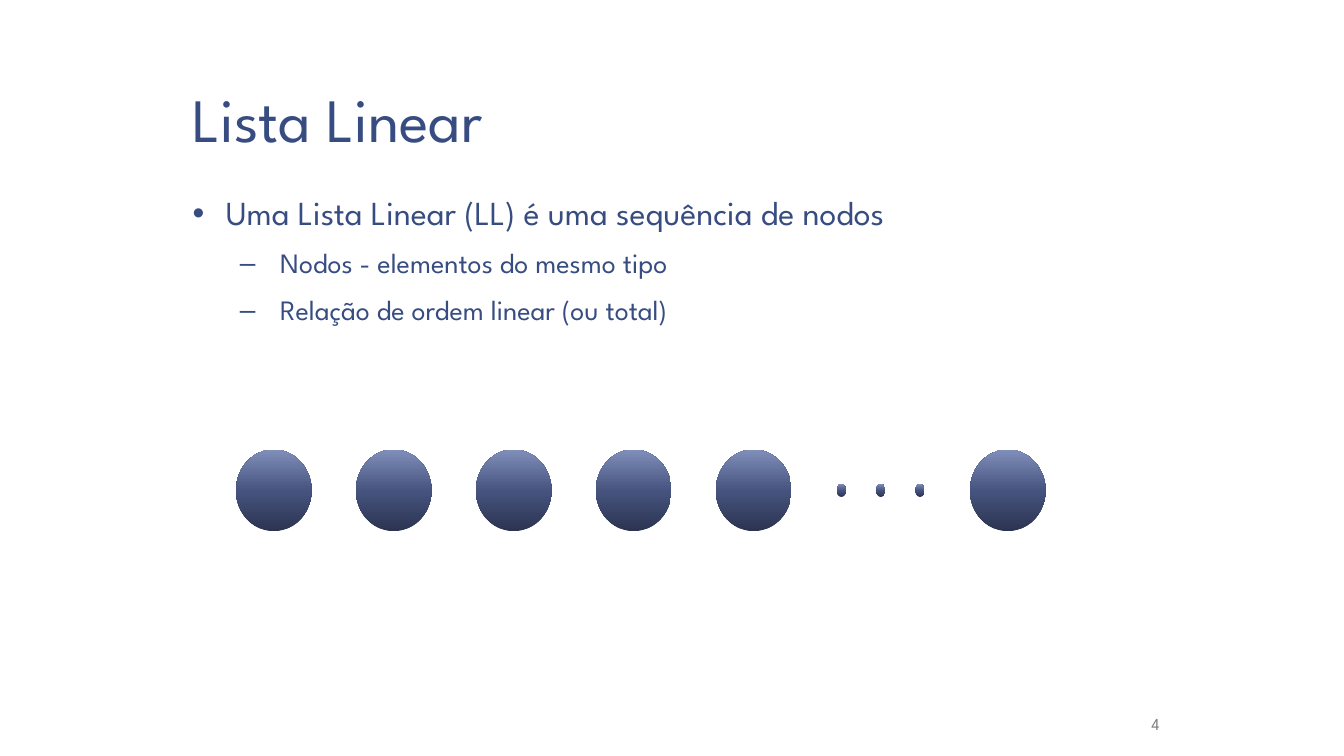
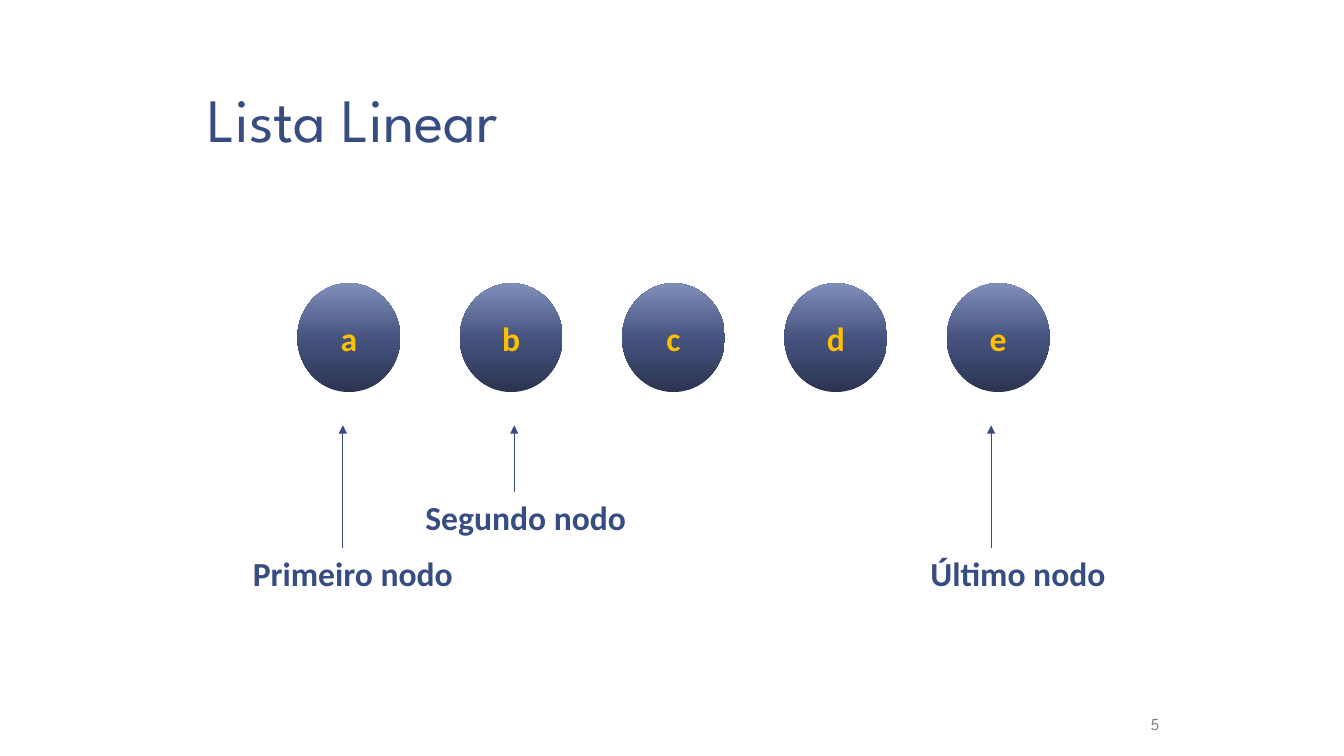
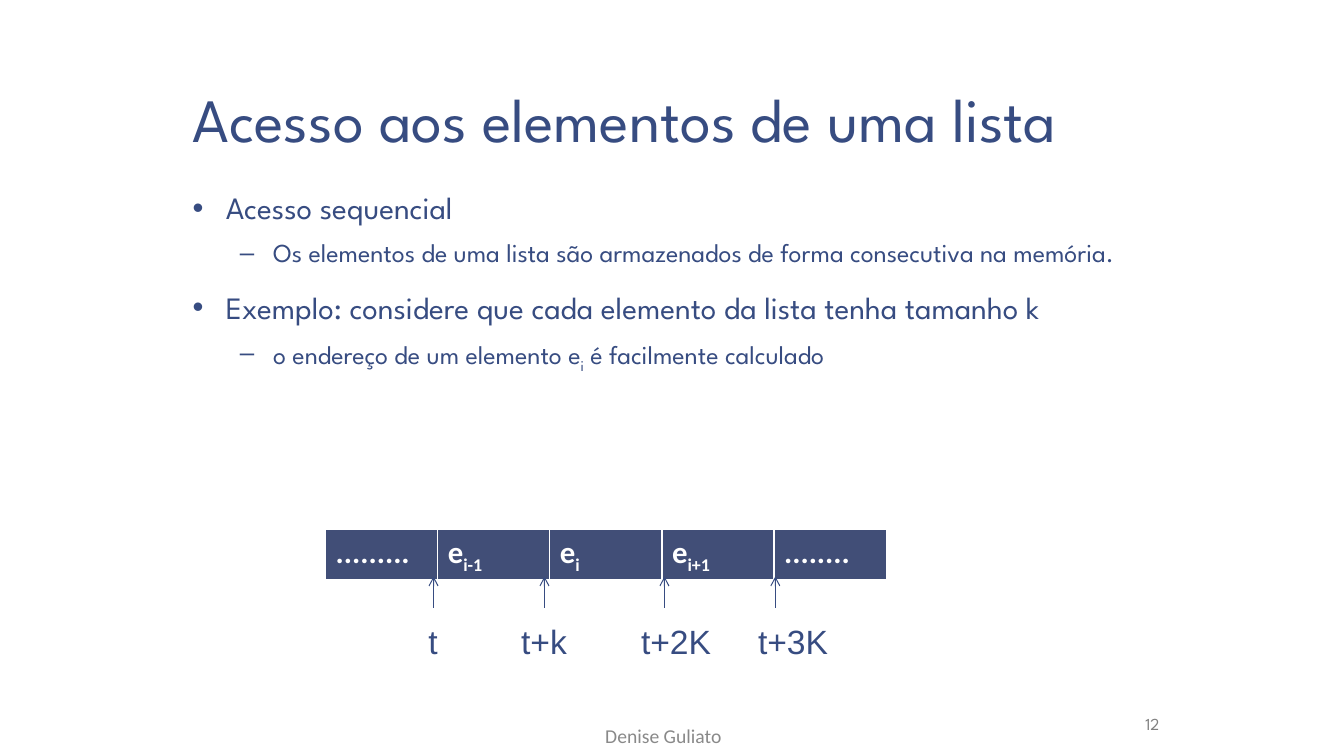
"""Builds three slides on linear lists."""
from copy import deepcopy
from dataclasses import dataclass

from pptx import Presentation
from pptx.dml import color as dml
from pptx.enum import shapes as kinds, text as txt
from pptx.oxml import ns
from pptx import util as u
from lxml import etree

Inches = u.Inches


@dataclass(frozen=True)
class TextStyle:
    """Font, size and colour of a piece of text."""
    font: str
    size: float
    color: str
    bold: bool = False


@dataclass(frozen=True)
class Theme:
    """Colours, type sizes and boxes shared by the slides."""
    ink: str = "374C81"
    white: str = "FFFFFF"
    cell: str = "414E77"
    gradient: tuple = ((0, "2C3450"), (0.48, "44527D"), (1, "808EBA"))
    heading: str = "League Spartan"
    title: TextStyle = TextStyle("League Spartan", 44, "374C81")
    number: TextStyle = TextStyle("League Spartan", 12, "808080")
    footer: TextStyle = TextStyle("Calibri", 14, "898989")
    node: TextStyle = TextStyle("Calibri", 24, "FFC000", True)
    label: TextStyle = TextStyle("Calibri", 24, "374C81", True)
    address: TextStyle = TextStyle("Arial", 24, "374C81")
    memory: TextStyle = TextStyle("Calibri", 22, "FFFFFF", True)
    margins: tuple = (0.13, 0.07)
    title_box: tuple = (1.78, 0.08, 9.84, 1.53)
    body_box: tuple = (1.78, 1.86, 9.84, 4.89)
    number_box: tuple = (10.76, 7, 0.87, 0.35)
    footer_box: tuple = (1.66, 7.1, 9.84, 0.4)


THEME = Theme()


def rgb(value):
    """Return a colour object for a hex string."""
    return dml.RGBColor.from_string(value)


def add_xml(parent, tag, **attributes):
    """Append a drawing element to a parent and return it."""
    return etree.SubElement(parent, ns.qn(tag), attributes)


def write(paragraph, parts, style):
    """Fill a paragraph with runs; every second part is a subscript."""
    for index, part in enumerate(parts):
        run = paragraph.add_run()
        run.text = part
        run.font.name, run.font.size = style.font, u.Pt(style.size)
        run.font.bold, run.font.color.rgb = style.bold, rgb(style.color)
        if index % 2:
            run.font._element.set("baseline", "-25000")


def add_text(slide, box, words, style, align=txt.PP_ALIGN.LEFT,
             anchor=txt.MSO_ANCHOR.TOP, margins=(0.1, 0.05), wrap=True):
    """Add a text box with at most one paragraph and return its frame."""
    frame = slide.shapes.add_textbox(*map(Inches, box)).text_frame
    frame.word_wrap, frame.vertical_anchor = wrap, anchor
    frame.margin_left = frame.margin_right = Inches(margins[0])
    frame.margin_top = frame.margin_bottom = Inches(margins[1])
    if words:
        write(frame.paragraphs[0], [words], style)
        frame.paragraphs[0].alignment = align
    return frame


def add_page(presentation, title, number, shift=0):
    """Add a blank slide with its title and number."""
    slide = presentation.slides.add_slide(presentation.slide_layouts[6])
    left, top, width, height = THEME.title_box
    frame = add_text(slide, (left + shift, top, width - shift, height), title, THEME.title,
                     anchor=txt.MSO_ANCHOR.BOTTOM, margins=THEME.margins)
    frame.paragraphs[0].line_spacing = 0.85
    add_text(slide, THEME.number_box, number, THEME.number, txt.PP_ALIGN.RIGHT,
             txt.MSO_ANCHOR.BOTTOM, THEME.margins)
    return slide


def add_bullets(slide, box, items, sizes, spacing, hang=0.33):
    """Add a two-level bulleted list of (level, parts) items."""
    frame = add_text(slide, box, "", None, margins=THEME.margins)
    for index, (level, parts) in enumerate(items):
        paragraph = frame.add_paragraph() if index else frame.paragraphs[0]
        write(paragraph, parts, TextStyle(THEME.heading, sizes[level], THEME.ink))
        paragraph.level, paragraph.line_spacing = level, spacing
        paragraph.space_before = u.Pt((18.7, 10.7)[level])
        indent = (0.33, hang)[level]
        properties = paragraph._p.get_or_add_pPr()
        properties.set("marL", str(Inches((0, 0.47)[level] + indent)))
        properties.set("indent", str(-Inches(indent)))
        add_xml(properties, "a:buFont", typeface="Arial")
        add_xml(properties, "a:buChar", char="•–"[level])


def add_node(shapes, box, letter=""):
    """Add a shaded ellipse with an optional letter."""
    node = shapes.add_shape(kinds.MSO_SHAPE.OVAL, *map(Inches, box))
    node.shadow.inherit = False
    node.line.fill.background()
    node.fill.gradient()
    node.fill.gradient_angle = 90
    stop_list = node._element.spPr.find(".//" + ns.qn("a:gsLst"))
    stop_list.append(deepcopy(stop_list[0]))
    for stop, (position, color) in zip(node.fill.gradient_stops, THEME.gradient):
        stop.position, stop.color.rgb = position, rgb(color)
    if letter:
        frame = node.text_frame
        frame.word_wrap, frame.vertical_anchor = False, txt.MSO_ANCHOR.MIDDLE
        write(frame.paragraphs[0], [letter], THEME.node)
        frame.paragraphs[0].alignment = txt.PP_ALIGN.CENTER


def add_arrow(slide, x, bottom, top, head):
    """Add a thin upward arrow."""
    arrow = slide.shapes.add_connector(kinds.MSO_CONNECTOR.STRAIGHT,
                                       *map(Inches, (x, bottom, x, top)))
    arrow.line.color.rgb, arrow.line.width = rgb(THEME.ink), u.Pt(0.75)
    add_xml(arrow.line._get_or_add_ln(), "a:tailEnd", type=head)
    add_xml(arrow._element.spPr, "a:effectLst")


def add_sequence(slide, left, top):
    """Add five nodes, three dots and a last node."""
    offsets = [1.19 * step for step in range(5)] + [7.28]
    for offset in offsets:
        add_node(slide.shapes, (left + offset, top, 0.75, 0.81))
    dots = slide.shapes.add_group_shape()
    for step in range(3):
        add_node(dots.shapes, (left + 5.96 + 0.39 * step, top + 0.34, 0.09, 0.13))


def add_named_nodes(slide, left, top):
    """Add lettered nodes and the arrows that name three of them."""
    for step, letter in enumerate("abcde"):
        add_node(slide.shapes, (left + 1.61 * step, top, 1.02, 1.08), letter)
    labels = (("Primeiro nodo", -0.54, 2.63, 2.2, 0.45),
              ("Segundo nodo", 1.17, 2.07, 2.21, 2.15),
              ("Último nodo", 6.18, 2.63, 1.96, 6.88))
    for words, x, y, width, arrow_x in labels:
        add_text(slide, (left + x, top + y, width, 0.5), words, THEME.label, wrap=False)
        add_arrow(slide, left + arrow_x, top + y, top + 1.41, "triangle")


def style_cell(cell, parts):
    """Fill, border and write one memory cell."""
    cell.fill.solid()
    cell.fill.fore_color.rgb = rgb(THEME.cell)
    write(cell.text_frame.paragraphs[0], parts, THEME.memory)
    properties = cell._tc.get_or_add_tcPr()
    for index, (side, width) in enumerate((("L", 1), ("R", 1), ("T", 1), ("B", 3))):
        border = etree.Element(ns.qn("a:ln" + side), w=str(u.Pt(width)))
        fill = add_xml(border, "a:solidFill")
        add_xml(fill, "a:srgbClr", val=THEME.white)
        properties.insert(index, border)


def add_memory(slide, left, top):
    """Add the row of memory cells with the addresses below it."""
    contents = (["........."], ["e", "i-1"], ["e", "i"], ["e", "i+1"], ["........"])
    width, height = 5.56, 0.47
    table = slide.shapes.add_table(1, len(contents), *map(Inches, (left, top, width, height))).table
    table.first_row = table.horz_banding = False
    for cell, parts in zip(table.rows[0].cells, contents):
        style_cell(cell, parts)
    for x in (1.07, 2.17, 3.36, 4.46):
        add_arrow(slide, left + x, top + 0.78, top + height, "arrow")
    frame = add_text(slide, (left + 0.92, top + 0.94, 5.58, 0.42),
                     "t\tt+k\tt+2K\tt+3K", THEME.address)
    paragraph = frame.paragraphs[0]
    paragraph.line_spacing, paragraph.space_before = 0.8, u.Pt(4.8)
    tabs = add_xml(paragraph._p.get_or_add_pPr(), "a:tabLst")
    for position in (0.92, 2.11, 3.27):
        add_xml(tabs, "a:tab", pos=str(Inches(position)), algn="l")


def main():
    """Build the slides and save them."""
    presentation = Presentation()
    presentation.slide_width, presentation.slide_height = Inches(13.33), Inches(7.5)

    slide = add_page(presentation, "Lista Linear", "4")
    add_bullets(slide, THEME.body_box, (
        (0, ["Uma Lista Linear (LL) é uma sequência de nodos"]),
        (1, ["Nodos - elementos do mesmo tipo"]),
        (1, ["Relação de ordem linear (ou total)"])), (24, 20), 0.95, hang=0.4)
    add_sequence(slide, 2.34, 4.46)

    slide = add_page(presentation, "Lista Linear", "5", shift=0.15)
    add_named_nodes(slide, 2.95, 2.81)

    slide = add_page(presentation, "Acesso aos elementos de uma lista", "12")
    add_bullets(slide, THEME.body_box, (
        (0, ["Acesso sequencial"]),
        (1, ["Os elementos de uma lista são armazenados de forma consecutiva na memória."]),
        (0, ["Exemplo: considere que cada elemento da lista tenha tamanho k"]),
        (1, ["o endereço de um elemento e", "i", " é facilmente calculado"])), (22.2, 18.5), 0.85)
    add_memory(slide, 3.23, 5.25)
    add_text(slide, THEME.footer_box, "Denise Guliato", THEME.footer,
             txt.PP_ALIGN.CENTER, txt.MSO_ANCHOR.MIDDLE)

    presentation.save("out.pptx")


if __name__ == "__main__":
    main()
